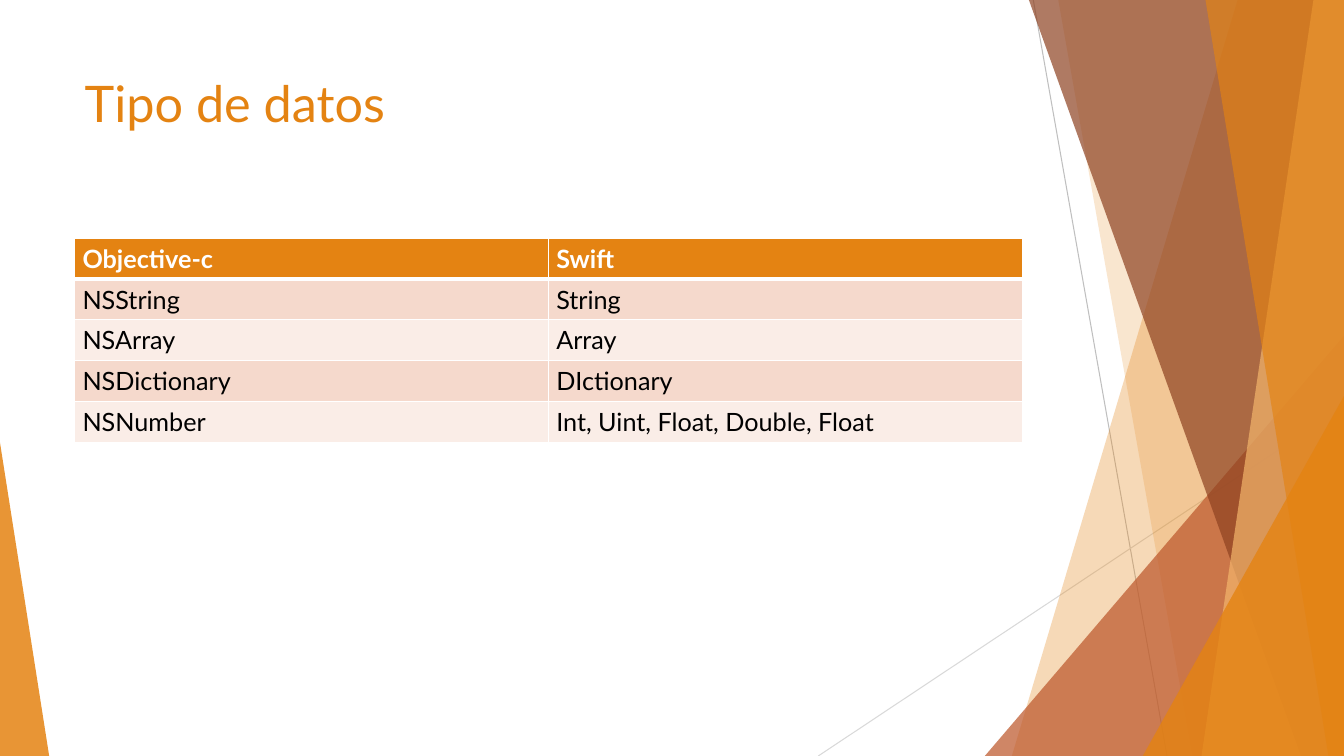
from lxml.etree import SubElement
from pptx import Presentation
from pptx.dml.color import RGBColor
from pptx.enum.shapes import MSO_CONNECTOR, MSO_SHAPE
from pptx.enum.text import MSO_ANCHOR, PP_ALIGN
from pptx.oxml import parse_xml
from pptx.oxml.ns import nsdecls, qn
from pptx.util import Cm, Pt

TITLE = "Tipo de datos"
ROWS = [
    ("Objective-c", "Swift"),
    ("NSString", "String"),
    ("NSArray", "Array"),
    ("NSDictionary", "DIctionary"),
    ("NSNumber", "Int, Uint, Float, Double, Float"),
]
FONT = "Lato"
COLORS = {
    "orange": "E48312", "rust": "BD582C", "brown": "8E4221", "sand": "F3B56C",
    "gray": "BFBFBF", "silver": "D9D9D9", "white": "FFFFFF", "black": "000000",
    "rose": "F5D9CC", "blush": "FAEDE7",
}
WIDE, HIGH = 33.87, 19.05
LEFT, SPAN = 1.88, 23.88
TOP, ROW = 6.0, 1.03

LINES = [
    (26.04, 0, 29.41, HIGH, "gray"),
    (WIDE, 10.24, 20.62, HIGH, "silver"),
]
FACETS = [
    ("band", (31.19, 25.5), "orange", 30),
    ("band", (26.67, 30.05), "orange", 20),
    ("wedge", (24.82, WIDE, 8.46, 1), "rust", 72),
    ("band", (25.93, 32.79), "brown", 70),
    ("band", (33.1, 30.28), "sand", 70),
    ("band", (30.38, 33.48), "orange", 65),
    ("wedge", (28.8, WIDE, 9.98, 1), "orange", 80),
    ("wedge", (0, 1.24, 11.15, 0), "orange", 85),
]


def color(name):
    return RGBColor.from_string(COLORS[name])


def style(frame, size, name, bold=False):
    for part in frame.paragraphs:
        part.alignment = PP_ALIGN.LEFT
        for run in part.runs:
            run.font.name = FONT
            run.font.size = Pt(size)
            run.font.bold = bold
            run.font.color.rgb = color(name)


def band(shapes, top, base):
    pen = shapes.build_freeform(Cm(top), 0)
    pen.add_line_segments(
        [(Cm(WIDE), 0), (Cm(WIDE), Cm(HIGH)), (Cm(base), Cm(HIGH))])
    return pen.convert_to_shape()


def wedge(shapes, left, right, top, tip):
    shape = shapes.add_shape(
        MSO_SHAPE.ISOSCELES_TRIANGLE,
        Cm(left), Cm(top), Cm(right - left), Cm(HIGH - top))
    shape.adjustments[0] = tip
    return shape


def draw_art(shapes):
    for x1, y1, x2, y2, name in LINES:
        line = shapes.add_connector(
            MSO_CONNECTOR.STRAIGHT, Cm(x1), Cm(y1), Cm(x2), Cm(y2))
        line.line.color.rgb = color(name)
        line.line.width = Pt(0.75)
        SubElement(line.element.spPr, qn("a:effectLst"))
    makers = {"band": band, "wedge": wedge}
    for kind, spots, name, alpha in FACETS:
        shape = makers[kind](shapes, *spots)
        shape.shadow.inherit = False
        shape.line.fill.background()
        shape.fill.solid()
        shape.fill.fore_color.rgb = color(name)
        tint = shape.element.spPr.find(qn("a:solidFill"))[0]
        SubElement(tint, qn("a:alpha")).set("val", str(alpha * 1000))


def edge(cell, widths):
    props = cell._tc.get_or_add_tcPr()
    for spot, (side, width) in enumerate(widths.items()):
        props.insert(spot, parse_xml(
            f'<a:ln{side} {nsdecls("a")} w="{Pt(width)}"><a:solidFill>'
            f'<a:srgbClr val="{COLORS["white"]}"/></a:solidFill></a:ln{side}>'))


def draw_table(shapes):
    count = len(ROWS)
    table = shapes.add_table(
        count, 2, Cm(LEFT), Cm(TOP), Cm(SPAN), Cm(ROW * count)).table
    for r, words in enumerate(ROWS):
        head = r == 0
        fill = "orange" if head else ("blush", "rose")[r % 2]
        for c, word in enumerate(words):
            cell = table.cell(r, c)
            cell.text_frame.text = word
            style(cell.text_frame, 18, "white" if head else "black", head)
            cell.margin_left = cell.margin_right = Cm(0.2)
            cell.margin_top = cell.margin_bottom = Cm(0.13)
            cell.fill.solid()
            cell.fill.fore_color.rgb = color(fill)
            edge(cell, {"L": 1, "R": 1, "T": 3 if r == 1 else 1,
                        "B": 3 if head else 1})


def main():
    deck = Presentation()
    deck.slide_width, deck.slide_height = Cm(WIDE), Cm(HIGH)
    slide = deck.slides.add_slide(deck.slide_layouts[5])
    draw_art(slide.shapes)
    title = slide.shapes.title
    title.left, title.top = Cm(LEFT), Cm(1.7)
    title.width, title.height = Cm(SPAN), Cm(3.66)
    title.text_frame.text = TITLE
    title.text_frame.vertical_anchor = MSO_ANCHOR.TOP
    style(title.text_frame, 36, "orange")
    draw_table(slide.shapes)
    deck.save("out.pptx")


if __name__ == "__main__":
    main()
